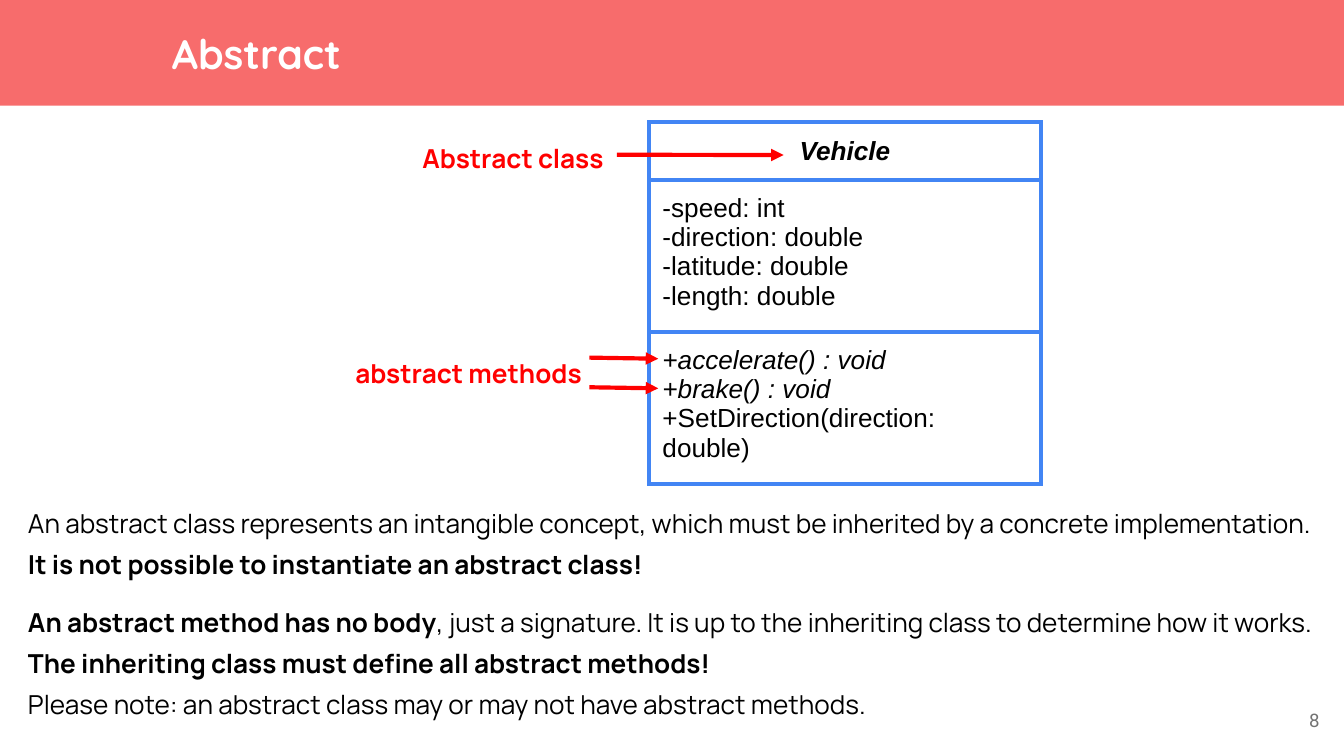
from dataclasses import dataclass
from typing import Any

from lxml import etree
from pptx import Presentation
from pptx import util as u
from pptx.dml.color import RGBColor
from pptx.enum import shapes, text
from pptx.oxml import ns

COLORS = {
    "coral": "F76C6C",
    "white": "FFFFFF",
    "black": "000000",
    "gray": "737373",
    "blue": "4285F4",
    "red": "FF0000",
}
LEFT, CENTER, RIGHT = text.PP_ALIGN.LEFT, text.PP_ALIGN.CENTER, text.PP_ALIGN.RIGHT
TOP, MIDDLE = text.MSO_ANCHOR.TOP, text.MSO_ANCHOR.MIDDLE


@dataclass(frozen=True)
class Span:
    words: str
    bold: bool = False
    italic: bool = False


@dataclass(frozen=True)
class Line:
    spans: tuple[Span, ...]
    before: float = 0


@dataclass(frozen=True)
class Style:
    font: str
    size: float
    color: str
    align: Any = LEFT
    anchor: Any = TOP


@dataclass(frozen=True)
class Block:
    left: float
    top: float
    width: float
    height: float
    style: Style
    lines: tuple[Line, ...]
    inset: float = 0.25


@dataclass(frozen=True)
class Compartment:
    height: float
    style: Style
    lines: tuple[Line, ...]


@dataclass(frozen=True)
class Arrow:
    start: tuple[float, float]
    end: tuple[float, float]
    source: Any = None


def line(words: str, bold: bool = False, italic: bool = False, before: float = 0) -> Line:
    return Line((Span(words, bold, italic),), before)


def rgb(name: str) -> RGBColor:
    return RGBColor.from_string(COLORS[name])


def write(frame: Any, lines: tuple[Line, ...], style: Style) -> None:
    frame.word_wrap = True
    frame.text = "\n".join(item.spans[0].words for item in lines)
    for paragraph, item in zip(frame.paragraphs, lines):
        paragraph.alignment = style.align
        paragraph.space_before = u.Pt(item.before)
        for span in item.spans[1:]:
            paragraph.add_run().text = span.words
        for run, span in zip(paragraph.runs, item.spans):
            run.font.name = style.font
            run.font.size = u.Pt(style.size)
            run.font.color.rgb = rgb(style.color)
            run.font.bold = span.bold
            run.font.italic = span.italic


def set_margins(holder: Any, inset: float) -> None:
    holder.margin_left = holder.margin_right = u.Cm(inset)
    holder.margin_top = holder.margin_bottom = u.Cm(inset)


def draw_block(slide: Any, block: Block) -> Any:
    box = slide.shapes.add_textbox(
        u.Cm(block.left), u.Cm(block.top), u.Cm(block.width), u.Cm(block.height)
    )
    set_margins(box.text_frame, block.inset)
    box.text_frame.vertical_anchor = block.style.anchor
    write(box.text_frame, block.lines, block.style)
    return box


def draw_band(slide: Any) -> None:
    band = slide.shapes.add_shape(
        shapes.MSO_SHAPE.RECTANGLE, u.Cm(-0.05), u.Cm(0), u.Cm(25.5), u.Cm(2)
    )
    band.shadow.inherit = False
    band.fill.solid()
    band.fill.fore_color.rgb = rgb("coral")
    band.line.fill.background()


def add_borders(cell: Any, color: str, points: float) -> None:
    properties = cell._tc.get_or_add_tcPr()
    for side in ("a:lnL", "a:lnR", "a:lnT", "a:lnB"):
        border = etree.SubElement(properties, ns.qn(side), w=str(u.Pt(points)))
        fill = etree.SubElement(border, ns.qn("a:solidFill"))
        etree.SubElement(fill, ns.qn("a:srgbClr"), val=COLORS[color])


def draw_class(
    slide: Any, left: float, top: float, width: float, compartments: tuple[Compartment, ...]
) -> None:
    height = sum(part.height for part in compartments)
    table = slide.shapes.add_table(
        len(compartments), 1, u.Cm(left), u.Cm(top), u.Cm(width), u.Cm(height)
    ).table
    table.first_row = table.horz_banding = False
    for index, part in enumerate(compartments):
        table.rows[index].height = u.Cm(part.height)
        cell = table.cell(index, 0)
        set_margins(cell, 0.25)
        cell.vertical_anchor = part.style.anchor
        add_borders(cell, "blue", 2.25)
        cell.fill.background()
        write(cell.text_frame, part.lines, part.style)


def draw_arrow(slide: Any, arrow: Arrow) -> None:
    pointer = slide.shapes.add_connector(
        shapes.MSO_CONNECTOR.STRAIGHT, *(u.Cm(value) for value in arrow.start + arrow.end)
    )
    if arrow.source is not None:
        pointer.begin_connect(arrow.source, 3)
    pointer.line.color.rgb = rgb("red")
    pointer.line.width = u.Pt(2.25)
    etree.SubElement(pointer.line._get_or_add_ln(), ns.qn("a:tailEnd"), type="triangle")
    etree.SubElement(pointer._element.spPr, ns.qn("a:effectLst"))


HEADING = Style("Quicksand", 22, "white", anchor=MIDDLE)
NUMBER = Style("Roboto", 10, "gray", RIGHT, MIDDLE)
BODY = Style("Manrope", 14, "black", anchor=MIDDLE)
LABEL = Style("Manrope", 14, "red", RIGHT)
CLASS_NAME = Style("Arial", 14, "black", CENTER, MIDDLE)
MEMBER = Style("Arial", 14, "black")

EXPLANATION = (
    line("An abstract class represents an intangible concept, which must be inherited by a concrete implementation."),
    line("It is not possible to instantiate an abstract class!", bold=True, before=5),
    Line(
        (
            Span("An abstract method has no body", bold=True),
            Span(", just a signature. It is up to the inheriting class to determine how it works."),
        ),
        before=14.5,
    ),
    line("The inheriting class must define all abstract methods!", bold=True, before=5),
    line("Please note: an abstract class may or may not have abstract methods.", before=5),
)
ATTRIBUTES = ("-speed: int", "-direction: double", "-latitude: double", "-length: double")
VEHICLE = (
    Compartment(1.07, CLASS_NAME, (line("Vehicle", bold=True, italic=True),)),
    Compartment(2.72, MEMBER, tuple(line(attribute) for attribute in ATTRIBUTES)),
    Compartment(
        2.72,
        MEMBER,
        (
            line("+accelerate() : void", italic=True),
            line("+brake() : void", italic=True),
            line("+SetDirection(direction: double)"),
        ),
    ),
)


def main() -> None:
    deck = Presentation()
    deck.slide_width, deck.slide_height = u.Cm(25.4), u.Cm(14.29)
    slide = deck.slides.add_slide(deck.slide_layouts[6])
    draw_band(slide)
    draw_block(slide, Block(3.25, 0, 11, 2, HEADING, (line("Abstract", bold=True),), 0))
    draw_block(slide, Block(23.67, 13.06, 1.52, 1.09, NUMBER, (line("8"),)))
    draw_block(slide, Block(0.28, 9.12, 25.12, 4.95, BODY, EXPLANATION))
    draw_class(slide, 12.27, 2.31, 7.4, VEHICLE)
    class_label = draw_block(
        slide, Block(6.86, 2.44, 4.8, 0.97, LABEL, (line("Abstract class", bold=True),))
    )
    draw_block(slide, Block(5.69, 6.5, 5.56, 1.7, LABEL, (line("abstract methods", bold=True),)))
    draw_arrow(slide, Arrow((11.66, 2.92), (14.81, 2.93), class_label))
    for top in (6.76, 7.32):
        draw_arrow(slide, Arrow((11.14, top), (12.44, top + 0.02)))
    deck.save("out.pptx")


if __name__ == "__main__":
    main()
